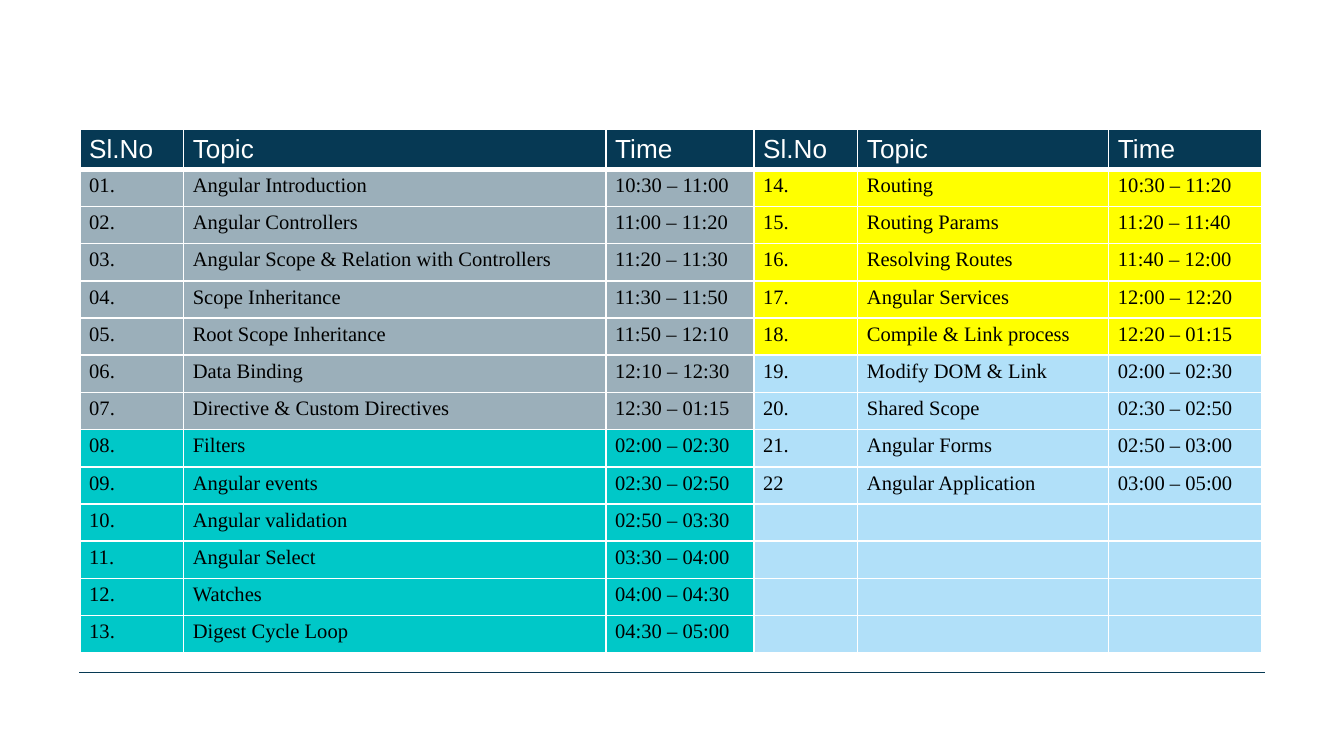
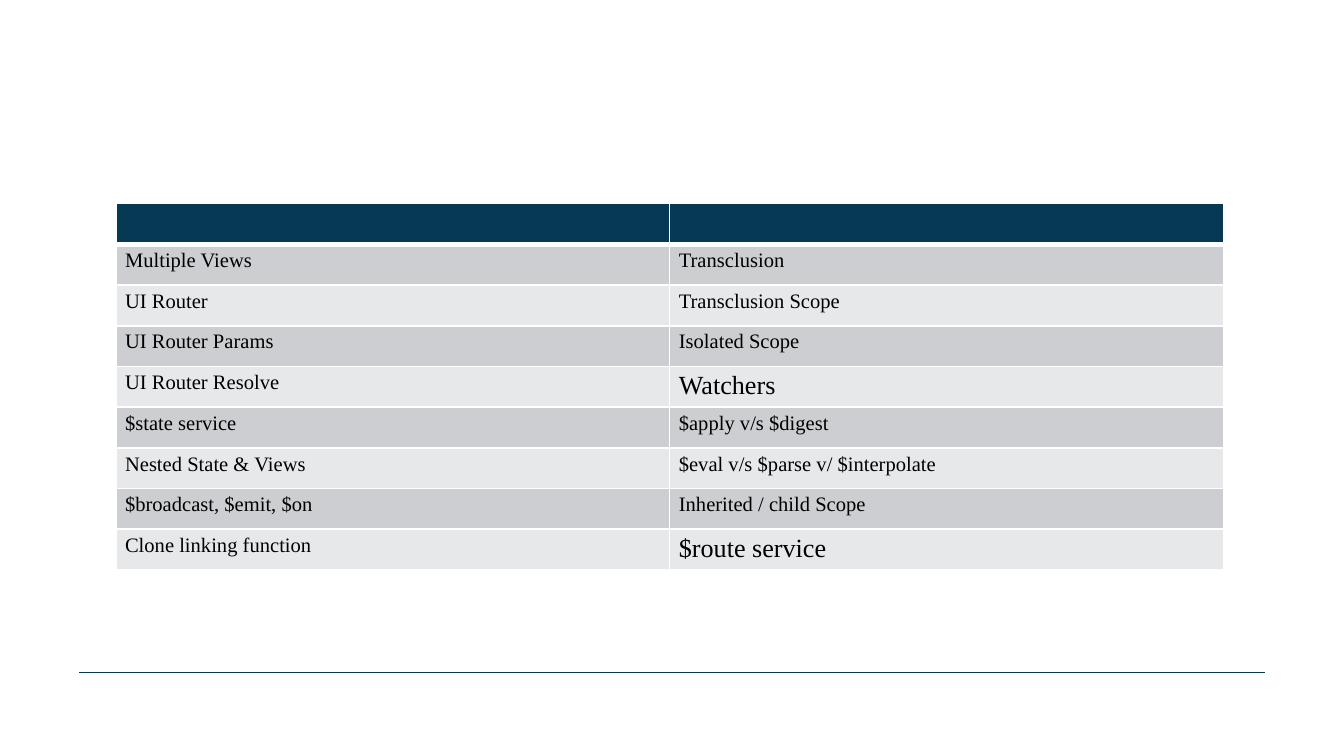
from dataclasses import dataclass
from itertools import zip_longest
from typing import NamedTuple

from lxml.etree import SubElement
from pptx import Presentation
from pptx.dml.color import RGBColor
from pptx.enum.shapes import MSO_CONNECTOR
from pptx.oxml.ns import qn
from pptx.util import Pt

# Shared look
NAVY = RGBColor(0x06, 0x39, 0x54)
WHITE = RGBColor(0xFF, 0xFF, 0xFF)
BLACK = RGBColor(0x00, 0x00, 0x00)
SLATE = RGBColor(0x9B, 0xAF, 0xBA)
TEAL = RGBColor(0x00, 0xC8, 0xC8)
YELLOW = RGBColor(0xFF, 0xFF, 0x00)
SKY = RGBColor(0xB1, 0xE0, 0xF9)
GREY = RGBColor(0xCC, 0xCE, 0xD1)
PALE_GREY = RGBColor(0xE7, 0xE8, 0xE9)
HEADING_FONT, BODY_FONT = "Arial", "Times New Roman"
HEADING_SIZE, BODY_SIZE = 14, 11


class Session(NamedTuple):
    number: str
    topic: str
    time: str


@dataclass
class Entry:
    text: str
    fill: RGBColor
    size: float = BODY_SIZE
    font: str = BODY_FONT
    color: RGBColor = BLACK
    rule_below: float = 1


@dataclass
class Grid:
    left: float
    top: float
    columns: list[float]
    header_height: float
    row_height: float
    rows: list[list[Entry]]


# Slide 1: two days of sessions
DAY_ONE = [
    Session("01.", "Angular Introduction", "10:30 – 11:00"),
    Session("02.", "Angular Controllers", "11:00 – 11:20"),
    Session("03.", "Angular Scope & Relation with Controllers", "11:20 – 11:30"),
    Session("04.", "Scope Inheritance", "11:30 – 11:50"),
    Session("05.", "Root Scope Inheritance", "11:50 – 12:10"),
    Session("06.", "Data Binding", "12:10 – 12:30"),
    Session("07.", "Directive & Custom Directives", "12:30 – 01:15"),
    Session("08.", "Filters", "02:00 – 02:30"),
    Session("09.", "Angular events", "02:30 – 02:50"),
    Session("10.", "Angular validation", "02:50 – 03:30"),
    Session("11.", "Angular Select", "03:30 – 04:00"),
    Session("12.", "Watches", "04:00 – 04:30"),
    Session("13.", "Digest Cycle Loop", "04:30 – 05:00"),
]
DAY_TWO = [
    Session("14.", "Routing", "10:30 – 11:20"),
    Session("15.", "Routing Params", "11:20 – 11:40"),
    Session("16.", "Resolving Routes", "11:40 – 12:00"),
    Session("17.", "Angular Services", "12:00 – 12:20"),
    Session("18.", "Compile & Link process", "12:20 – 01:15"),
    Session("19.", "Modify DOM & Link", "02:00 – 02:30"),
    Session("20.", "Shared Scope", "02:30 – 02:50"),
    Session("21.", "Angular Forms", "02:50 – 03:00"),
    Session("22", "Angular Application", "03:00 – 05:00"),
]
NO_SESSION = Session("", "", "")
DAY_ONE_MORNING, DAY_TWO_MORNING = 7, 5

# Slide 2: further topics
FURTHER_TOPICS = [
    ("Multiple Views", "Transclusion"),
    ("UI Router", "Transclusion Scope"),
    ("UI Router Params", "Isolated Scope"),
    ("UI Router Resolve", "Watchers"),
    ("$state service", "$apply v/s $digest"),
    ("Nested State & Views", "$eval v/s $parse v/ $interpolate"),
    ("$broadcast, $emit, $on", "Inherited / child Scope"),
    ("Clone linking function", "$route service"),
]
LARGE_TOPICS = {"Watchers", "$route service"}


def heading(text: str) -> Entry:
    return Entry(text, NAVY, HEADING_SIZE, HEADING_FONT, WHITE, rule_below=3)


def schedule_rows() -> list[list[Entry]]:
    rows = [[heading(text) for text in ("Sl.No", "Topic", "Time") * 2]]
    days = zip_longest(DAY_ONE, DAY_TWO, fillvalue=NO_SESSION)
    for slot, (first, second) in enumerate(days):
        first_fill = SLATE if slot < DAY_ONE_MORNING else TEAL
        second_fill = YELLOW if slot < DAY_TWO_MORNING else SKY
        rows.append([Entry(text, first_fill) for text in first]
                    + [Entry(text, second_fill) for text in second])
    return rows


def topic_rows() -> list[list[Entry]]:
    rows = [[heading(""), heading("")]]
    for index, pair in enumerate(FURTHER_TOPICS):
        fill = PALE_GREY if index % 2 else GREY
        rows.append([
            Entry(topic, fill, HEADING_SIZE if topic in LARGE_TOPICS else BODY_SIZE)
            for topic in pair
        ])
    return rows


def draw_borders(cell, rule_below: float) -> None:
    properties = cell._tc.get_or_add_tcPr()
    widths = {"a:lnL": 1, "a:lnR": 1, "a:lnT": 1, "a:lnB": rule_below}
    for side, width in widths.items():
        border = SubElement(properties, qn(side), w=str(Pt(width)))
        paint = SubElement(border, qn("a:solidFill"))
        SubElement(paint, qn("a:srgbClr"), val=str(WHITE))


def fill_cell(cell, entry: Entry) -> None:
    draw_borders(cell, entry.rule_below)
    cell.fill.solid()
    cell.fill.fore_color.rgb = entry.fill
    cell.margin_left = cell.margin_right = Pt(5)
    cell.margin_top = cell.margin_bottom = Pt(2.6)
    paragraph = cell.text_frame.paragraphs[0]
    if entry.text:
        run = paragraph.add_run()
        run.text = entry.text
        run.font.size = Pt(entry.size)
        run.font.name = entry.font
        run.font.color.rgb = entry.color
    else:
        # Keeps empty rows from growing to the default text size
        SubElement(paragraph._p, qn("a:endParaRPr"), sz=str(entry.size * 100))


def draw_grid(slide, grid: Grid) -> None:
    heights = [grid.header_height] + [grid.row_height] * (len(grid.rows) - 1)
    table = slide.shapes.add_table(
        len(heights), len(grid.columns), Pt(grid.left), Pt(grid.top),
        Pt(sum(grid.columns)), Pt(sum(heights))).table
    table.first_row = table.horz_banding = False
    for column, width in zip(table.columns, grid.columns):
        column.width = Pt(width)
    for row, height, entries in zip(table.rows, heights, grid.rows):
        row.height = Pt(height)
        for cell, entry in zip(row.cells, entries):
            fill_cell(cell, entry)


def draw_footer_rule(slide) -> None:
    rule = slide.shapes.add_connector(
        MSO_CONNECTOR.STRAIGHT, Pt(42.5), Pt(360), Pt(677.5), Pt(360))
    rule.line.color.rgb = NAVY
    rule.line.width = Pt(0.5)
    SubElement(rule._element.spPr, qn("a:effectLst"))


def main() -> None:
    presentation = Presentation()
    presentation.slide_width, presentation.slide_height = Pt(720), Pt(405)
    schedule = Grid(42.8, 69.4, [55.5, 226.3, 79.3, 55.6, 134.5, 81.8],
                    21.3, 19.94, schedule_rows())
    further = Grid(62, 108.7, [296.7] * 2, 21.8, 21.8, topic_rows())
    for grid in (schedule, further):
        slide = presentation.slides.add_slide(presentation.slide_layouts[6])
        draw_footer_rule(slide)
        draw_grid(slide, grid)
    presentation.save("out.pptx")


if __name__ == "__main__":
    main()
